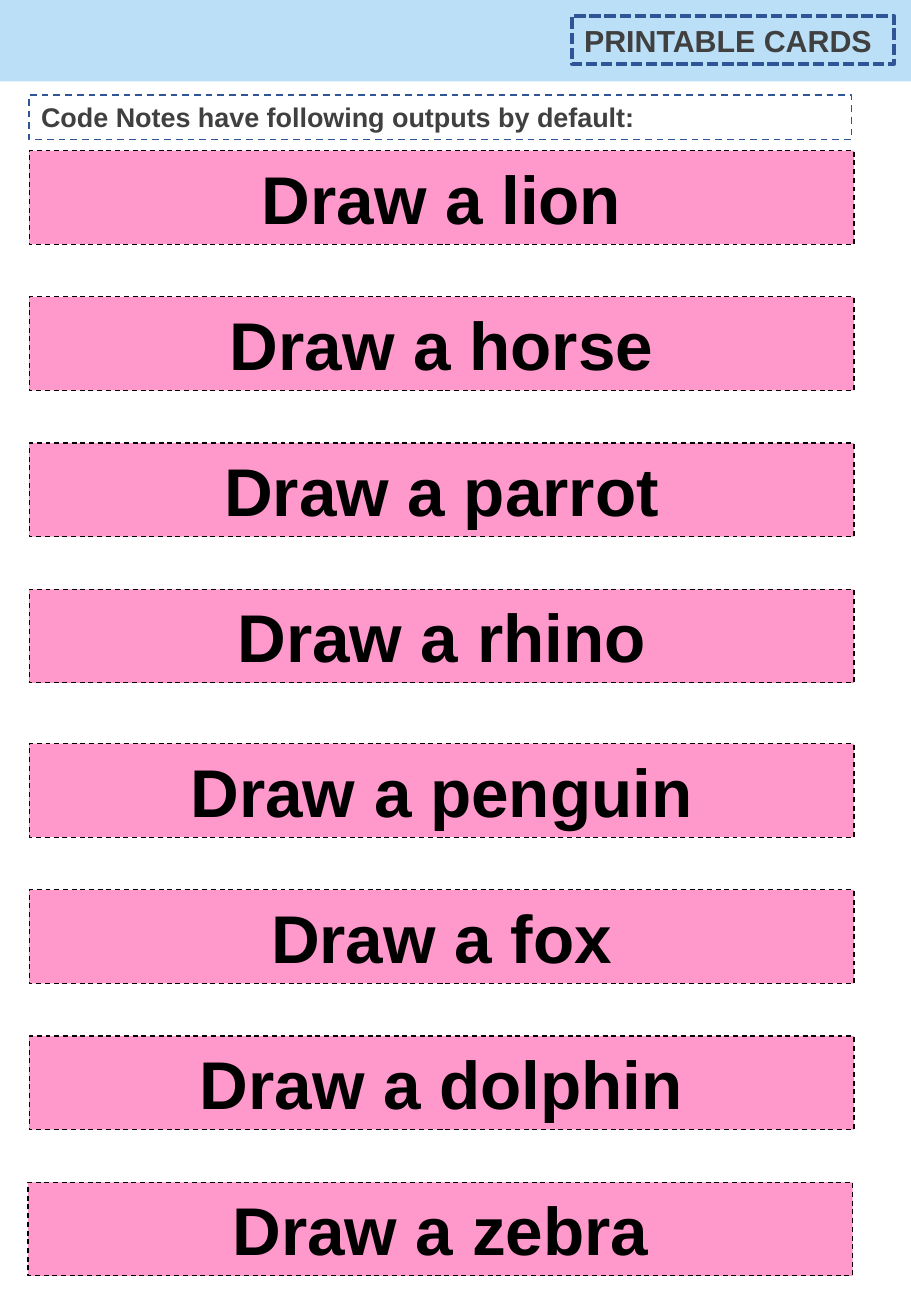
"""Build a printable sheet of drawing cards."""
from lxml import etree
from pptx import Presentation
from pptx.dml.color import RGBColor
from pptx.enum.dml import MSO_LINE
from pptx.enum.shapes import MSO_SHAPE
from pptx.enum.text import MSO_AUTO_SIZE, PP_ALIGN
from pptx.oxml.ns import qn
from pptx.util import Pt

DASH, SHORT_DASH = MSO_LINE.DASH, MSO_LINE.SQUARE_DOT
LEFT, CENTER = PP_ALIGN.LEFT, PP_ALIGN.CENTER
RECTANGLE = MSO_SHAPE.RECTANGLE
GROW = MSO_AUTO_SIZE.SHAPE_TO_FIT_TEXT

FONT = "Arial"
COLORS = {"card": "FF99CC", "ink": "000000", "text": "404040",
          "border": "2F5597", "band": "91CBF3"}
TITLE = "PRINTABLE CARDS"
INTRO = "Code Notes have following outputs by default:"
CARD_GROUPS = [
    (89.28, ["lion", "horse", "parrot", "rhino"]),
    (440.64, ["penguin", "fox", "dolphin", "zebra"]),
]

PAGE_WIDTH, PAGE_HEIGHT = 540, 779.76
BAND_HEIGHT = 48.24
BAND_OPACITY = 61
MARGIN = 17.28
CARD_WIDTH, CARD_HEIGHT, CARD_PITCH = 488.88, 55.44, 86.64


def color(name):
    return RGBColor.from_string(COLORS[name])


def add_dashed_box(page, frame, text, size, ink, border, weight,
                   dash=DASH, align=LEFT, fill=None):
    box = page.shapes.add_textbox(*map(Pt, frame))
    if fill:
        box.fill.solid()
        box.fill.fore_color.rgb = color(fill)
    box.line.color.rgb = color(border)
    box.line.width = Pt(weight)
    box.line.dash_style = dash
    box.text_frame.word_wrap = True
    box.text_frame.auto_size = GROW
    para = box.text_frame.paragraphs[0]
    para.text = text
    para.alignment = align
    para.font.name = FONT
    para.font.size = Pt(size)
    para.font.bold = True
    para.font.color.rgb = color(ink)


def add_band(page):
    band = page.shapes.add_shape(RECTANGLE, 0, 0, Pt(PAGE_WIDTH), Pt(BAND_HEIGHT))
    band.shadow.inherit = False
    band.line.fill.background()
    band.fill.solid()
    band.fill.fore_color.rgb = color("band")
    tint = band.fill._xPr.find(".//" + qn("a:srgbClr"))
    etree.SubElement(tint, qn("a:alpha"), val=str(BAND_OPACITY * 1000))


deck = Presentation()
deck.slide_width, deck.slide_height = Pt(PAGE_WIDTH), Pt(PAGE_HEIGHT)
page = deck.slides.add_slide(deck.slide_layouts[6])

for first_top, animals in CARD_GROUPS:
    for row, animal in enumerate(animals):
        left = MARGIN - 0.72 if animal == "zebra" else MARGIN
        frame = (left, first_top + row * CARD_PITCH, CARD_WIDTH, CARD_HEIGHT)
        add_dashed_box(page, frame, f"Draw a {animal}", 40, "ink", "ink", 0.75,
                       align=CENTER, fill="card")

add_dashed_box(page, (MARGIN, 56.16, 487.44, 26.64), INTRO, 16, "text", "border", 1)
add_band(page)
add_dashed_box(page, (339.12, 9.36, 190.8, 28.8), TITLE, 18, "text", "border", 2.25,
               dash=SHORT_DASH)

deck.save("out.pptx")
